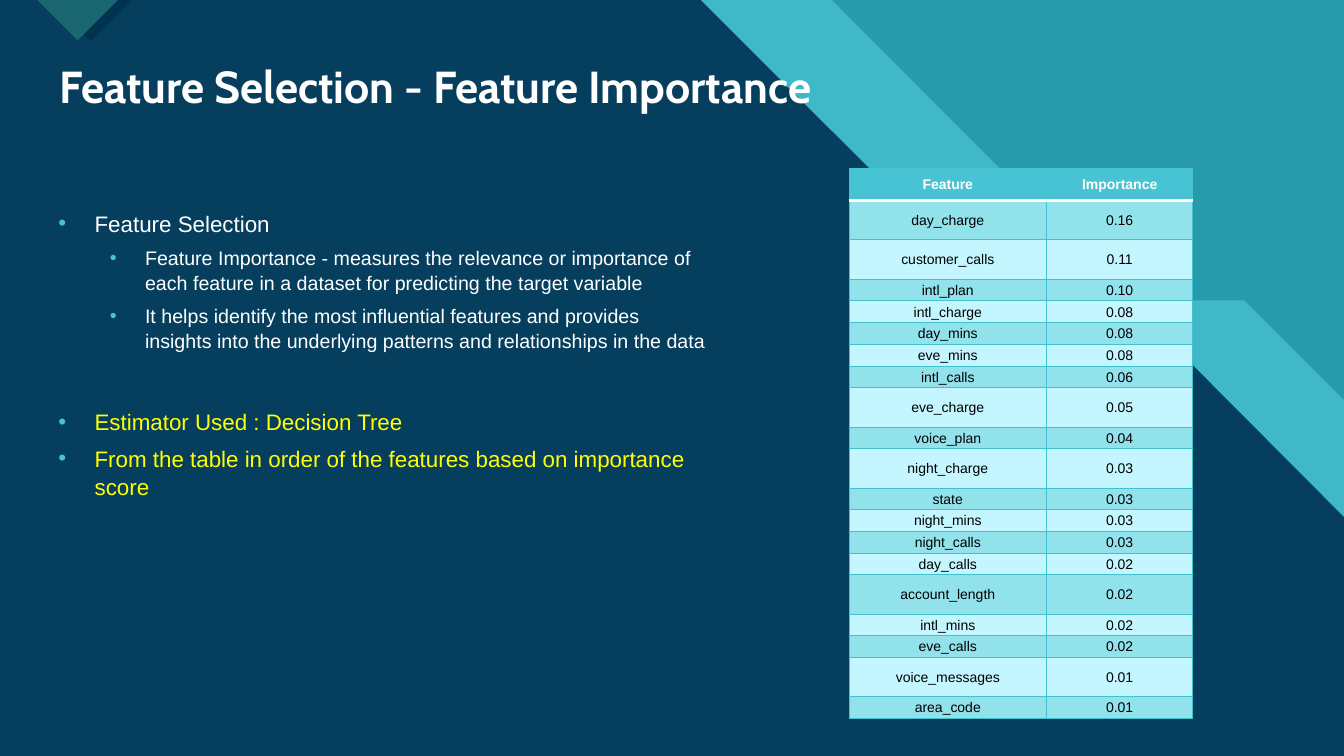
from lxml import etree
from pptx import Presentation
from pptx.dml.color import RGBColor
from pptx.enum.text import MSO_ANCHOR, PP_ALIGN
from pptx.oxml.ns import qn
from pptx.util import Inches, Pt

MIDDLE = MSO_ANCHOR.MIDDLE
CENTER = PP_ALIGN.CENTER

TEAL = RGBColor(0x28, 0x9B, 0xAA)
BAND = RGBColor(0x3F, 0xB9, 0xC8)
NAVY = RGBColor(0x06, 0x3F, 0x5E)
DEEP_NAVY = RGBColor(0x00, 0x32, 0x52)
DARK_TEAL = RGBColor(0x1B, 0x67, 0x71)
AQUA = RGBColor(0x47, 0xC3, 0xD3)
GRID = RGBColor(0x42, 0xC1, 0xD2)
ROW_DARK = RGBColor(0x92, 0xE2, 0xEC)
ROW_LIGHT = RGBColor(0xC4, 0xF6, 0xFF)
WHITE = RGBColor(0xFF, 0xFF, 0xFF)
BLACK = RGBColor(0x00, 0x00, 0x00)
YELLOW = RGBColor(0xFF, 0xFF, 0x00)

WIDTH, HEIGHT = 13.33, 7.5

# Background outlines, from back to front
OUTLINES = [
    (BAND, [(0, 0), (8.25, 0), (11.22, 2.98), (12.34, 2.98),
            (WIDTH, 3.97), (WIDTH, HEIGHT), (0, HEIGHT)]),
    (NAVY, [(0, 0), (6.95, 0), (9.92, 2.97), (11.18, 2.97),
            (WIDTH, 5.13), (WIDTH, HEIGHT), (0, HEIGHT)]),
    (DEEP_NAVY, [(0.48, 0), (1.31, 0), (0.9, 0.41)]),
    (DARK_TEAL, [(0.37, 0), (1.17, 0), (0.77, 0.4)]),
]

# Text, level, colour, space before in points
BULLETS = [
    ("Feature Selection", 0, WHITE, 6),
    ("Feature Importance - measures the relevance or importance of each "
     "feature in a dataset for predicting the target variable", 1, WHITE, 6),
    ("It helps identify the most influential features and provides insights "
     "into the underlying patterns and relationships in the data", 1, WHITE, 6),
    ("Estimator Used : Decision Tree", 0, YELLOW, 39),
    ("From the table in order of the features based on importance score",
     0, YELLOW, 6),
]
# Size in points, left margin and hanging indent in inches, by level
LEVELS = [(16, 0.5, -0.36), (14, 1, -0.35)]

IMPORTANCES = [
    ("day_charge", "0.16"), ("customer_calls", "0.11"), ("intl_plan", "0.10"),
    ("intl_charge", "0.08"), ("day_mins", "0.08"), ("eve_mins", "0.08"),
    ("intl_calls", "0.06"), ("eve_charge", "0.05"), ("voice_plan", "0.04"),
    ("night_charge", "0.03"), ("state", "0.03"), ("night_mins", "0.03"),
    ("night_calls", "0.03"), ("day_calls", "0.02"), ("account_length", "0.02"),
    ("intl_mins", "0.02"), ("eve_calls", "0.02"), ("voice_messages", "0.01"),
    ("area_code", "0.01"),
]
TALL_FEATURES = {"day_charge", "customer_calls", "eve_charge",
                 "night_charge", "account_length", "voice_messages"}
COLUMN_WIDTHS = [1.96, 1.45]
TABLE_HEIGHT, HEADER_HEIGHT, TALL_HEIGHT = 5.46, 0.32, 0.39


def write(paragraph, text, size, color, font="Arial", bold=False,
          align=None, line_spacing=None, space_before=None):
    run = paragraph.add_run()
    run.text = text
    run.font.size = Pt(size)
    run.font.name = font
    run.font.bold = bold
    run.font.color.rgb = color
    paragraph.alignment = align
    paragraph.line_spacing = line_spacing
    if space_before is not None:
        paragraph.space_before = Pt(space_before)


def add_outline(slide, color, points):
    corners = [(Inches(x), Inches(y)) for x, y in points]
    builder = slide.shapes.build_freeform(*corners[0])
    builder.add_line_segments(corners[1:], close=True)
    shape = builder.convert_to_shape()
    shape.shadow.inherit = False
    shape.fill.solid()
    shape.fill.fore_color.rgb = color
    shape.line.fill.background()


def add_text_frame(slide, left, top, width, height):
    box = slide.shapes.add_textbox(Inches(left), Inches(top),
                                   Inches(width), Inches(height))
    box.text_frame.word_wrap = True
    return box.text_frame


def set_bullet(paragraph, margin, indent):
    properties = paragraph._p.get_or_add_pPr()
    properties.set("marL", str(Inches(margin)))
    properties.set("indent", str(Inches(indent)))
    color = etree.SubElement(properties, qn("a:buClr"))
    etree.SubElement(color, qn("a:srgbClr"), val=str(AQUA))
    etree.SubElement(properties, qn("a:buFont"), typeface="Arial")
    etree.SubElement(properties, qn("a:buChar"), char="•")


def add_bullets(slide):
    frame = add_text_frame(slide, 0.34, 2.02, 6.79, 3.85)
    for index, (text, level, color, gap) in enumerate(BULLETS):
        paragraph = frame.add_paragraph() if index else frame.paragraphs[0]
        size, margin, indent = LEVELS[level]
        paragraph.level = level
        write(paragraph, text, size, color, line_spacing=1.05,
              space_before=gap)
        set_bullet(paragraph, margin, indent)


def set_borders(cell, top, bottom):
    """Give the four sides as (colour, points), left and right in grid style."""
    properties = cell._tc.get_or_add_tcPr()
    sides = {"L": (GRID, 0.75), "R": (GRID, 0.75), "T": top, "B": bottom}
    for index, (side, (color, points)) in enumerate(sides.items()):
        line = etree.Element(qn(f"a:ln{side}"), w=str(Pt(points)))
        fill = etree.SubElement(line, qn("a:solidFill"))
        etree.SubElement(fill, qn("a:srgbClr"), val=str(color))
        properties.insert(index, line)


def fill_cell(cell, text, fill, color, bold, top, bottom):
    cell.margin_left = cell.margin_right = cell.margin_top = Inches(0.01)
    cell.margin_bottom = 0
    cell.vertical_anchor = MIDDLE
    cell.fill.solid()
    cell.fill.fore_color.rgb = fill
    write(cell.text_frame.paragraphs[0], text, 10, color, bold=bold,
          align=CENTER)
    set_borders(cell, top, bottom)


def add_importance_table(slide):
    rows = [("Feature", "Importance")] + IMPORTANCES
    table = slide.shapes.add_table(
        len(rows), len(COLUMN_WIDTHS), Inches(8.42), Inches(1.67),
        Inches(sum(COLUMN_WIDTHS)), Inches(TABLE_HEIGHT)).table
    table.horz_banding = False
    for column, width in zip(table.columns, COLUMN_WIDTHS):
        column.width = Inches(width)

    # Short rows share the height left by the header and the tall rows
    tall_count = len(TALL_FEATURES)
    short_height = ((TABLE_HEIGHT - HEADER_HEIGHT - tall_count * TALL_HEIGHT)
                    / (len(IMPORTANCES) - tall_count))
    thin, thick = (GRID, 0.75), (WHITE, 2)
    for index, values in enumerate(rows):
        header = index == 0
        if header:
            height, fill = HEADER_HEIGHT, AQUA
        else:
            height = TALL_HEIGHT if values[0] in TALL_FEATURES else short_height
            fill = ROW_DARK if index % 2 else ROW_LIGHT
        table.rows[index].height = Inches(height)
        for column, text in enumerate(values):
            fill_cell(table.cell(index, column), text, fill,
                      WHITE if header else BLACK, header,
                      top=thick if index == 1 else thin,
                      bottom=thick if header else thin)


def main():
    presentation = Presentation()
    presentation.slide_width = Inches(WIDTH)
    presentation.slide_height = Inches(HEIGHT)
    slide = presentation.slides.add_slide(presentation.slide_layouts[6])

    # Background
    slide.background.fill.solid()
    slide.background.fill.fore_color.rgb = TEAL
    for color, points in OUTLINES:
        add_outline(slide, color, points)

    # Title
    title = add_text_frame(slide, 0.49, 0.59, 12.26, 0.59)
    title.vertical_anchor = MIDDLE
    write(title.paragraphs[0], "Feature Selection - Feature Importance", 32,
          WHITE, font="Cabin", bold=True, line_spacing=0.9)

    # Content
    add_bullets(slide)
    add_importance_table(slide)

    presentation.save("out.pptx")


if __name__ == "__main__":
    main()
